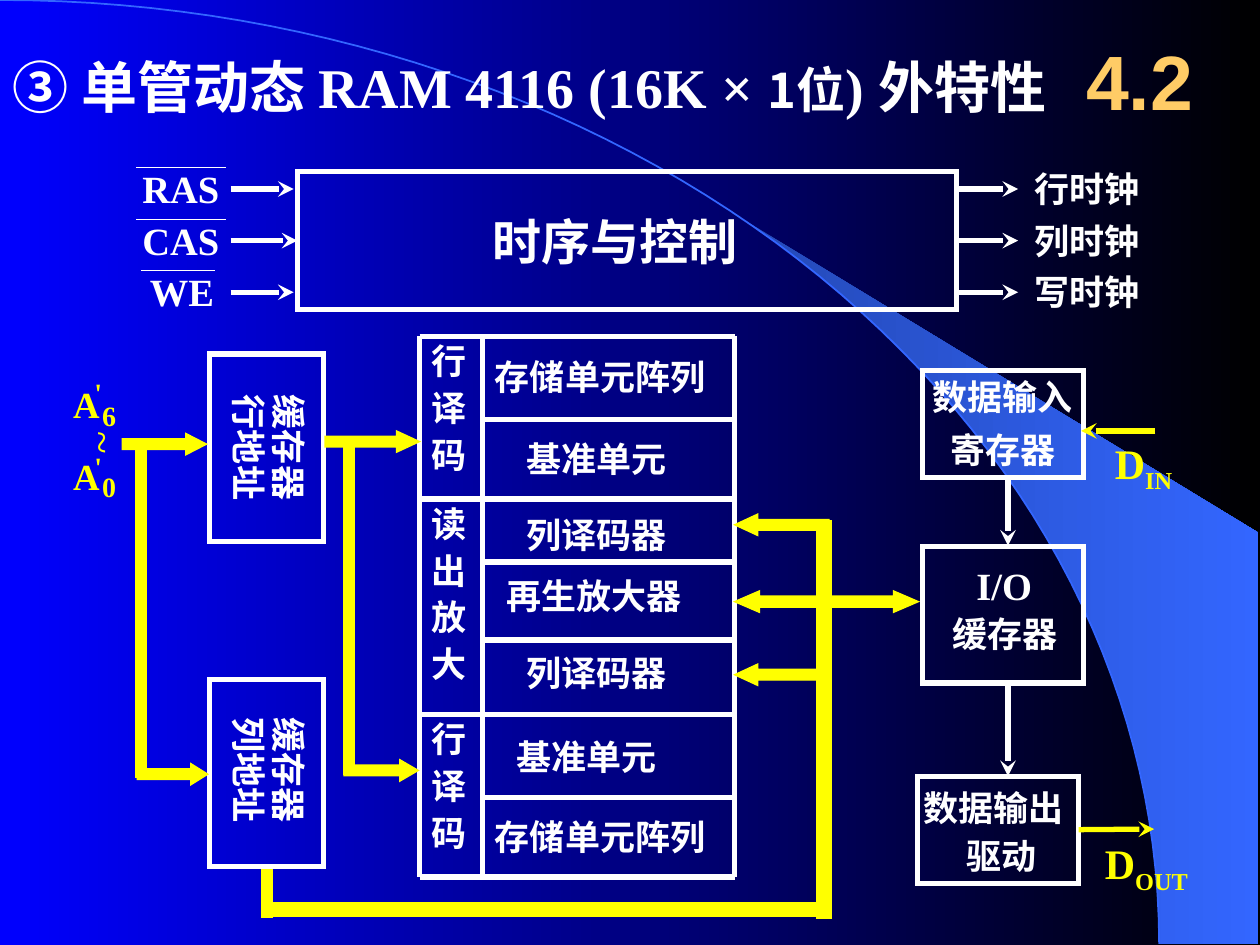
"""Build the slide on the pins and blocks of a 16K x 1 dynamic RAM."""
from dataclasses import dataclass
from math import asin, cos, pi, sin

from lxml.etree import SubElement
from pptx import Presentation
from pptx.dml.color import RGBColor
from pptx.enum.shapes import MSO_CONNECTOR, MSO_SHAPE
from pptx.enum.text import MSO_ANCHOR, PP_ALIGN
from pptx.oxml.ns import qn
from pptx.util import Cm, Pt

RECT, RIGHT = MSO_SHAPE.RECTANGLE, MSO_SHAPE.RIGHT_ARROW
BOTH, LINE = MSO_SHAPE.LEFT_RIGHT_ARROW, MSO_CONNECTOR.STRAIGHT
MID, CENTER = MSO_ANCHOR.MIDDLE, PP_ALIGN.CENTER


@dataclass(frozen=True)
class Theme:
    white: str = "FFFFFF"
    bus: str = "FFFF00"
    mark: str = "FFCC66"
    blue: str = "0000FF"
    black: str = "000000"
    arc: str = "3366FF"
    dusk: str = "2449B6"
    han: str = "Noto Sans CJK SC"
    serif: str = "Times New Roman"
    sans: str = "Arial"
    huge: float = 44
    title: float = 32
    head: float = 28
    pin: float = 24
    signal: float = 22
    letter: float = 21
    body: float = 20
    small: float = 16
    thick: float = 3
    thin: float = 0.75


T = Theme()


@dataclass(frozen=True)
class Label:
    text: str
    x: float
    y: float
    w: float
    h: float
    size: float = T.body
    face: str = T.han
    color: str = T.white
    turn: int = 0
    tight: bool = True
    bold: bool = True
    sub: str = ""


@dataclass(frozen=True)
class Arrow:
    x: float
    y: float
    w: float
    head: float
    turn: int = 0
    kind: int = RIGHT
    waist: float = 0.5


def cm(inch: float) -> Cm:
    return Cm(inch * 2.54)


def rgb(code: str) -> RGBColor:
    return RGBColor.from_string(code)


def style(font, face: str, size: float, color: str, bold: bool, node) -> None:
    font.name, font.size, font.bold = face, Pt(size), bold
    font.color.rgb = rgb(color)
    SubElement(node, qn("a:ea"), typeface=face)


def blend(fill, first: str, last: str) -> None:
    fill.gradient()
    fill.gradient_angle = 0
    for stop, code in zip(fill.gradient_stops, (first, last)):
        stop.color.rgb = rgb(code)


def write(slide, item: Label):
    box = slide.shapes.add_textbox(*map(cm, (item.x, item.y, item.w, item.h)))
    box.rotation = item.turn
    frame = box.text_frame
    frame.word_wrap = not item.tight
    if item.tight:
        frame.margin_left = frame.margin_right = 0
        frame.margin_top = frame.margin_bottom = 0
    for num, line in enumerate(item.text.split("\n")):
        para = frame.add_paragraph() if num else frame.paragraphs[0]
        para.add_run().text = line
        font = para.font
        style(font, item.face, item.size, item.color, item.bold,
              para._p.pPr.find(qn("a:defRPr")))
        if "\n" in item.text:
            para.line_spacing = 0.95
            para.space_before = Pt(4 if num else 0)
        if item.sub:
            run = para.add_run()
            run.text = item.sub
            run._r.get_or_add_rPr().set("baseline", "-25000")
    return box


def block(slide, x: float, y: float, w: float, h: float, kind: int = RECT,
          color: str = T.white, width: float = T.thick, solid: bool = False):
    shape = slide.shapes.add_shape(kind, *map(cm, (x, y, w, h)))
    shape.shadow.inherit = False
    if solid:
        shape.fill.solid()
        shape.fill.fore_color.rgb = rgb(color)
    else:
        shape.fill.background()
    shape.line.color.rgb, shape.line.width = rgb(color), Pt(width)
    SubElement(shape._element.spPr.find(qn("a:ln")), qn("a:miter"), lim="800000")
    return shape


def wire(slide, x1: float, y1: float, x2: float, y2: float, tip: bool = False,
         color: str = T.white, width: float = T.thick):
    link = slide.shapes.add_connector(LINE, *map(cm, (x1, y1, x2, y2)))
    link.line.color.rgb, link.line.width = rgb(color), Pt(width)
    prop = link._element.spPr
    if tip:
        SubElement(prop.find(qn("a:ln")), qn("a:tailEnd"), type="stealth")
    SubElement(prop, qn("a:effectLst"))
    return link


def curve(slide, start: float, extra: list[tuple[float, float]], close: bool):
    wide, high, steps = 9.2, 7.49, 60
    turns = [start + (pi / 2 - start) * n / steps for n in range(steps + 1)]
    dots = [(wide * sin(t), high * (1 - cos(t))) for t in turns] + extra
    dots = [(cm(x), cm(y)) for x, y in dots]
    path = slide.shapes.build_freeform(*dots[0])
    path.add_line_segments(dots[1:], close=close)
    shape = path.convert_to_shape()
    shape.shadow.inherit = False
    return shape


def scene(slide) -> None:
    blend(slide.background.fill, T.blue, T.black)
    sail = curve(slide, asin(5.89 / 9.2), [(9.99, 7.49), (9.99, 4.23)], True)
    blend(sail.fill, T.dusk, T.arc)
    sail.line.fill.background()
    rim = curve(slide, 0, [], False)
    rim.fill.background()
    rim.line.color.rgb, rim.line.width = rgb(T.arc), Pt(1)


def heading(slide) -> None:
    box = slide.shapes.add_textbox(*map(cm, (0, 0.37, 8.92, 0.63)))
    box.text_frame.word_wrap = True
    para = box.text_frame.paragraphs[0]
    for text, face, size in (("③ 单管动态 RAM 4116 (16K × ", T.serif, T.title),
                             ("1位", T.han, T.head), (") 外特性", T.serif, T.title)):
        run = para.add_run()
        run.text = text
        style(run.font, face, size, T.white, True, run._r.rPr)
        run._r.rPr.find(qn("a:ea")).set("typeface", T.han)
    mark = write(slide, Label("4.2", 8.42, 0.17, 1.25, 0.92, T.huge, T.sans, T.mark, tight=False))
    mark.text_frame.vertical_anchor = MID
    mark.text_frame.paragraphs[0].alignment = CENTER


def timing(slide) -> None:
    box = block(slide, 2.36, 1.36, 5.23, 1.1)
    write(slide, Label("时序与控制", 3.91, 1.68, 2.15, 0.47, T.head))
    rows = (("RAS", 1.13, 1.08, 1.79, "行时钟"), ("CAS", 1.13, 1.08, 1.79, "列时钟"),
            ("WE", 1.19, 1.12, 1.71, "写时钟"))
    for num, (name, x, left, right, clock) in enumerate(rows):
        y = 1.5 + 0.41 * num
        write(slide, Label(name, x, y - 0.19, 0.65, 0.37, T.signal, T.serif))
        wire(slide, left, y - 0.17, right, y - 0.17, width=T.thin)
        enter = wire(slide, 1.83, y, 2.33, y, True)
        leave = wire(slide, 7.58, y, 8.08, y, True)
        if num == 1:
            enter.end_connect(box, 1)
            leave.begin_connect(box, 3)
        write(slide, Label(clock, 8.21, y - 0.17, 0.84, 0.33))


def memory(slide) -> None:
    top, base, left, split, right = 2.67, 6.96, 3.33, 3.83, 5.83
    for text, x, y in (("存储单元阵列", 3.83, 2.77), ("基准单元", 4.08, 3.42),
                       ("列译码器", 4.08, 4.03), ("再生放大器", 3.92, 4.51),
                       ("列译码器", 4.08, 5.12), ("基准单元", 4, 5.79),
                       ("存储单元阵列", 3.83, 6.42)):
        write(slide, Label(text, x, y, 2, 0.6, tight=False))
    for text, y, h in (("行译码", top, 1.29), ("读出放大", 3.96, 1.71), ("行译码", 5.67, 1.29)):
        write(slide, Label("\n".join(text), left, y, 0.5, h, tight=False))
    for y in (top, 3.96, 5.67, base):
        wire(slide, left, y, right, y)
    for y in (3.33, 4.46, 5.08, 6.33):
        wire(slide, split, y, right, y)
    for x in (left, split, right):
        wire(slide, x, top, x, base)


def ports(slide) -> None:
    for y, mid, name in ((2.81, 3.39, "行地址"), (5.39, 5.95, "列地址")):
        block(slide, 1.66, y, 0.91, 1.49)
        for text, x in (("缓存器", 1.88), (name, 1.56)):
            write(slide, Label(text, x, mid, 0.84, 0.33, turn=90))
    block(slide, 7.32, 2.94, 1.28, 0.85)
    block(slide, 7.32, 4.34, 1.28, 1.08)
    out = block(slide, 7.28, 6.16, 1.28, 0.85)
    for text, x, y, w in (("数据输入", 7.4, 2.98, 1.12), ("寄存器", 7.54, 3.4, 0.84),
                          ("缓存器", 7.56, 4.86, 0.84), ("数据输出", 7.33, 6.24, 1.12),
                          ("驱动", 7.67, 6.62, 0.56)):
        write(slide, Label(text, x, y, w, 0.33))
    write(slide, Label("I/O", 7.75, 4.46, 0.7, 0.37, T.signal, T.serif))
    wire(slide, 8, 3.79, 8, 4.33, True)
    wire(slide, 8, 5.41, 8, 6.16, True)
    wire(slide, 9.17, 3.42, 8.58, 3.42, True, T.bus)
    wire(slide, 8.57, 6.58, 9.16, 6.58, True, T.bus).begin_connect(out, 3)
    for sub, x, y, w in (("IN", 8.75, 3.42, 0.83), ("OUT", 8.67, 6.6, 1.25)):
        write(slide, Label("D", x, y, w, 0.5, T.pin, T.serif, T.bus, tight=False, sub=sub))


def buses(slide) -> None:
    for x, y, w, h, width in ((1.08, 3.5, 0.08, 2.67, T.thin), (2.73, 3.48, 0.08, 2.67, T.thin),
                              (2.08, 6.9, 0.08, 0.38, T.thin), (6.5, 4.15, 0.08, 3.12, T.thick),
                              (2.18, 7.18, 4.32, 0.08, T.thick)):
        block(slide, x, y, w, h, color=T.bus, width=width, solid=True)
    for item in (Arrow(0.97, 3.44, 0.67, 0.97), Arrow(1.09, 6.06, 0.56, 0.8),
                 Arrow(2.58, 3.42, 0.75, 1.08), Arrow(2.73, 6.03, 0.59, 0.86),
                 Arrow(5.83, 4.08, 0.75, 1.08, 180), Arrow(5.83, 5.27, 0.75, 1.08, 180),
                 Arrow(5.83, 4.69, 1.46, 1.16, 0, BOTH, 0.52)):
        shape = block(slide, item.x, item.y, item.w, 0.17, item.kind, T.bus, T.thin, True)
        shape.adjustments[0], shape.adjustments[1] = item.waist, item.head
        shape.rotation = item.turn
    for digit, y, prime, low in (("6", 3.03, 2.98, 3.16), ("0", 3.6, 3.57, 3.73)):
        write(slide, Label("A", 0.58, y, 0.21, 0.35, T.letter, T.serif, T.bus))
        write(slide, Label("'", 0.75, prime, 0.06, 0.27, T.small, T.serif, T.bus))
        write(slide, Label(digit, 0.81, low, 0.11, 0.27, T.small, T.serif, T.bus))
    wave = write(slide, Label("~", 0.48, 3.33, 0.6, 0.42, T.pin, T.serif, T.bus,
                              tight=False, bold=False))
    wave.text_frame._txBody.bodyPr.set("vert", "eaVert")


def main() -> None:
    deck = Presentation()
    deck.slide_width, deck.slide_height = cm(10), cm(7.5)
    slide = deck.slides.add_slide(deck.slide_layouts[6])
    for part in (scene, heading, timing, memory, ports, buses):
        part(slide)
    deck.save("out.pptx")


if __name__ == "__main__":
    main()
